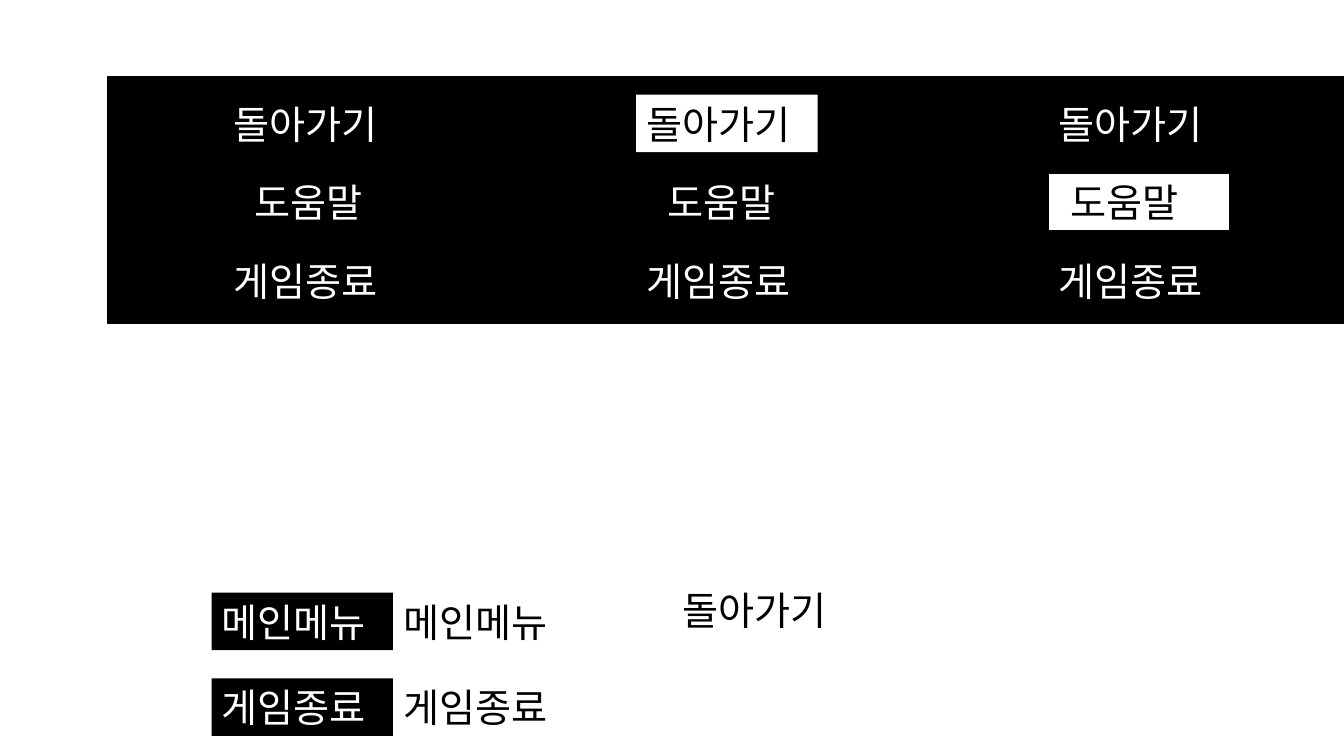
from pptx import Presentation
from pptx.dml.color import RGBColor
from pptx.enum.shapes import MSO_SHAPE
from pptx.enum.text import MSO_ANCHOR, PP_ALIGN
from pptx.util import Inches, Pt
from lxml.etree import SubElement
from pptx.oxml.ns import qn

COLORS = {"black": "000000", "white": "FFFFFF"}
FONT = "Noto Sans CJK KR"
BACK, HELP, QUIT, MAIN = "돌아가기", "도움말", "게임종료", "메인메뉴"
LABEL_W, LABEL_H = 1.8, 0.57


def rgb(name):
    """Return the named colour."""
    return RGBColor.from_string(COLORS[name])


def add_box(slide, x, y, w, h, fill=None, line=None):
    """Add a rectangle; line is a black outline width in points."""
    sp = slide.shapes.add_shape(
        MSO_SHAPE.RECTANGLE, Inches(x), Inches(y), Inches(w), Inches(h))
    sp.shadow.inherit = False
    if fill:
        sp.fill.solid()
        sp.fill.fore_color.rgb = rgb(fill)
    else:
        sp.fill.background()
    if line:
        sp.line.color.rgb = rgb("black")
        sp.line.width = Pt(line)
    else:
        sp.line.fill.background()
    return sp


def add_label(slide, text, x, y, color, fill=None, line=None,
              w=LABEL_W, indent=0.1):
    """Add a menu label, boxed when it has a fill or an outline."""
    if fill or line:
        sp = add_box(slide, x, y, w, LABEL_H, fill, line)
    else:
        sp = slide.shapes.add_textbox(
            Inches(x), Inches(y), Inches(w), Inches(LABEL_H))
    tf = sp.text_frame
    tf.word_wrap = True
    tf.vertical_anchor = MSO_ANCHOR.MIDDLE
    tf.margin_left = Inches(indent)
    tf.margin_top = tf.margin_bottom = 0
    tf.text = text
    p = tf.paragraphs[0]
    p.alignment = PP_ALIGN.LEFT
    r = p.runs[0]
    r.font.size = Pt(28)
    r.font.name = FONT
    r.font.color.rgb = rgb(color)
    SubElement(r.font._element, qn("a:ea")).set("typeface", FONT)


def add_menu(slide, x, selected=None, outlined=()):
    """Add one black menu panel with its selected entry inverted."""
    add_box(slide, x, 0.76, 4.09, 2.45, "black", 1)
    for text, y in ((BACK, 0.94), (HELP, 1.72), (QUIT, 2.5)):
        chosen = text == selected
        style = {"color": "black" if chosen else "white",
                 "fill": "white" if chosen else None,
                 "line": 0.75 if text in outlined else None}
        left = x + 1.15
        if text == HELP and chosen:
            style["indent"] = 0.22
        elif text == HELP:
            left, style["w"] = x + 1.36, 1.39
        add_label(slide, text, left, y, **style)


def main():
    """Build the slide of game menu states."""
    prs = Presentation()
    prs.slide_width, prs.slide_height = Inches(13.33), Inches(7.5)
    s = prs.slides.add_slide(prs.slide_layouts[6])
    menus = ((None, (BACK,)), (BACK, ()), (HELP, (BACK, HELP, QUIT)))
    for i, (selected, outlined) in enumerate(menus):
        add_menu(s, 1.07 + 4.09 * i, selected, outlined)
    add_label(s, BACK, 6.67, 5.77, "black", "white")
    for text, y in ((MAIN, 5.88), (QUIT, 6.73)):
        add_label(s, text, 2.1, y, "white", "black")
        add_label(s, text, 2.1 + LABEL_W, y, "black", "white")
    prs.save("out.pptx")


main()
